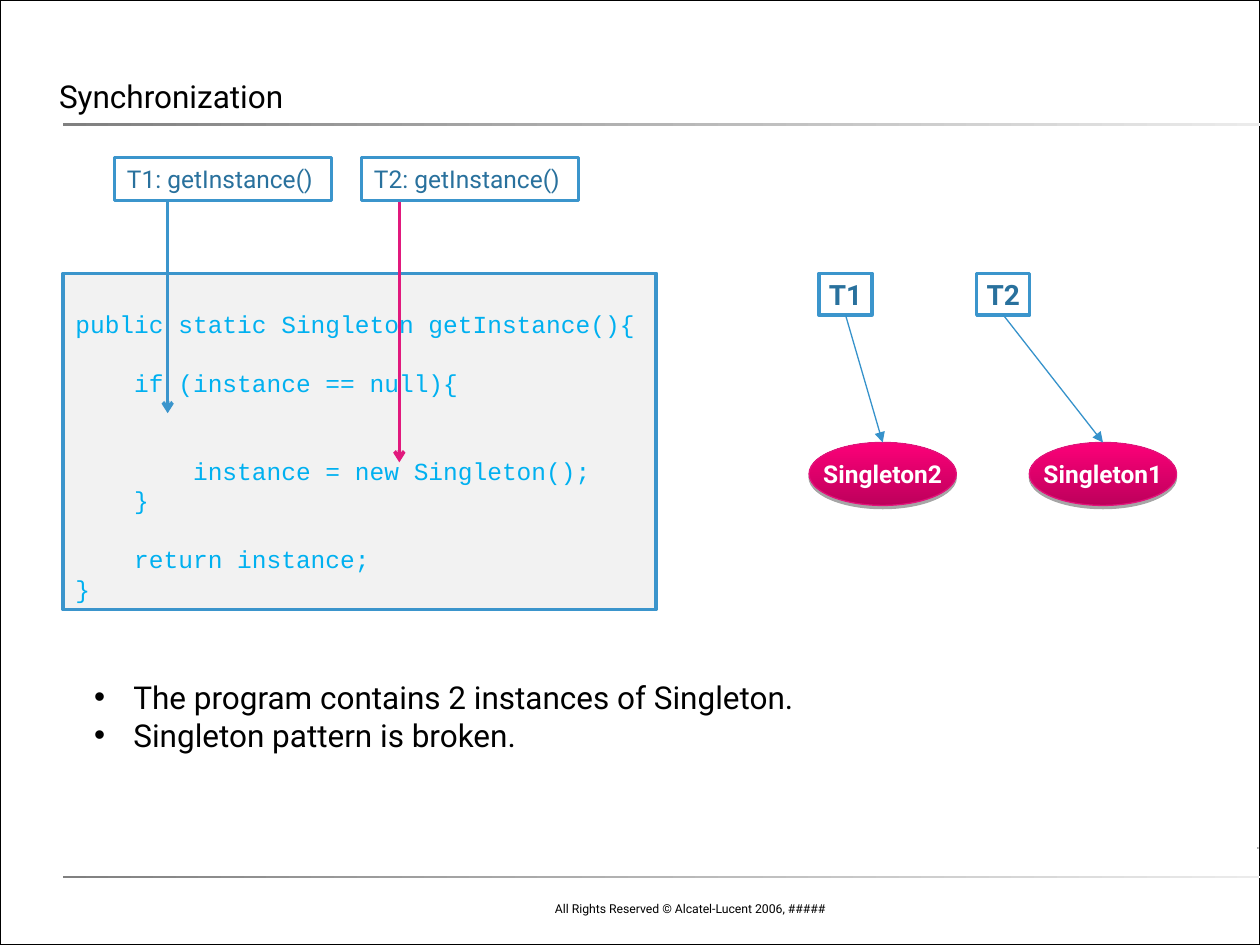
from lxml.etree import SubElement
from pptx import Presentation
from pptx.dml.color import RGBColor
from pptx.enum.shapes import MSO_CONNECTOR, MSO_SHAPE
from pptx.enum.text import MSO_ANCHOR, PP_ALIGN
from pptx.oxml.ns import qn
from pptx.util import Cm, Pt

COLORS = {
    "black": "000000", "white": "FFFFFF", "panel": "F2F2F2",
    "blue": "3B95CC", "link": "3692CB", "label": "29719D", "code": "00B0F0",
    "pink": "E1197D", "pink_edge": "E1137A", "pink_dark": "BD005B",
    "pink_light": "FD0079", "grey": "808080", "pale": "EBEBEB",
}
FORMATS = {
    "title": dict(name="Roboto", size=Pt(18), bold=False, color="black"),
    "bullet": dict(name="Roboto", size=Pt(18), color="black"),
    "call": dict(name="Roboto", size=Pt(14), color="label"),
    "thread": dict(name="Roboto", size=Pt(16), bold=True, color="label"),
    "object": dict(name="Roboto", size=Pt(14), bold=True, color="white"),
    "code": dict(name="Courier New", size=Pt(14), color="code"),
    "footer": dict(name="Roboto", size=Pt(7), color="black"),
}
CODE_PITCH = 16.8
# Each code line with the number of empty lines above it
CODE = [
    ("public static Singleton getInstance(){", 0),
    ("    if (instance == null){", 1),
    ("        instance = new Singleton();", 2),
    ("    }", 0),
    ("    return instance;", 1),
    ("}", 0),
]
BULLETS = ["The program contains 2 instances of Singleton.",
           "Singleton pattern is broken."]


def rgb(name):
    return RGBColor.from_string(COLORS[name])


def write(tf, lines, style, align=PP_ALIGN.LEFT, anchor=MSO_ANCHOR.TOP,
          insets=(0.25, 0.13, 0.25, 0.13), wrap=True):
    tf.word_wrap, tf.vertical_anchor = wrap, anchor
    for side, inset in zip(("left", "top", "right", "bottom"), insets):
        setattr(tf, f"margin_{side}", Cm(inset))
    for i, line in enumerate(lines):
        p = tf.paragraphs[0] if i == 0 else tf.add_paragraph()
        p.alignment = align
        r = p.add_run()
        r.text = line
        for key, value in FORMATS[style].items():
            if key == "color":
                r.font.color.rgb = rgb(value)
            else:
                setattr(r.font, key, value)


def add_box(s, box, kind=MSO_SHAPE.RECTANGLE, fill=None, line=None, width=2):
    sp = s.shapes.add_shape(kind, *map(Cm, box))
    sp.shadow.inherit = False
    if fill:
        sp.fill.solid()
        sp.fill.fore_color.rgb = rgb(fill)
    else:
        sp.fill.background()
    if line:
        sp.line.color.rgb = rgb(line)
        sp.line.width = Pt(width)
    else:
        sp.line.fill.background()
    return sp


def set_gradient(sp, start, end, angle):
    sp.fill.gradient()
    sp.fill.gradient_angle = angle
    for stop, color in zip(sp.fill.gradient_stops, (start, end)):
        stop.color.rgb = rgb(color)


def add_arrow(s, start, end, color, width, head):
    c = s.shapes.add_connector(MSO_CONNECTOR.STRAIGHT,
                               *map(Cm, (*start, *end)))
    c.line.color.rgb = rgb(color)
    c.line.width = Pt(width)
    SubElement(c.line._get_or_add_ln(), qn("a:tailEnd"), type=head)
    SubElement(c._element.spPr, qn("a:effectLst"))


def add_frame(s, box):
    """Page border, the two rules, the edge mark and the copyright line."""
    x, y, w, h = box
    add_box(s, box, line="black", width=1)
    left = 1.27
    for rule in ((x + w - 0.05, y + 17.07, 0.03, 0.05),
                 (x + left, y + 17.65, w - left, 0.05),
                 (x + left, y + 2.49, w - left, 0.05)):
        set_gradient(add_box(s, rule), "grey", "pale", 0)
    tb = s.shapes.add_textbox(*map(Cm, (x + 8.89, y + 17.96, 8, 0.64)))
    write(tb.text_frame, ["All Rights Reserved © Alcatel-Lucent 2006, #####"],
          "footer", PP_ALIGN.RIGHT, MSO_ANCHOR.BOTTOM)


def add_title(s, box):
    title = s.shapes.title
    title.left, title.top, title.width, title.height = map(Cm, box)
    write(title.text_frame, ["Synchronization"], "title",
          anchor=MSO_ANCHOR.BOTTOM, insets=(0, 0, 0, 0))
    title.text_frame.paragraphs[0].line_spacing = 1.2


def add_code(s, box):
    sp = add_box(s, box, fill="panel", line="blue")
    write(sp.text_frame, [line for line, _ in CODE], "code",
          insets=(0.25, 0.72, 0.25, 0.13))
    for p, (_, gap) in zip(sp.text_frame.paragraphs, CODE):
        p.line_spacing = Pt(CODE_PITCH)
        if gap:
            p.space_before = Pt(gap * CODE_PITCH)


def add_call(s, box, thread, arrow_x, arrow_end, color):
    """Thread call with the arrow that shows how far it has run."""
    x, y, _, _ = box
    add_arrow(s, (x + arrow_x, y + 0.2), (x + arrow_x, arrow_end),
              color, 2, "arrow")
    sp = add_box(s, box, fill="white", line="blue")
    write(sp.text_frame, [f"{thread}: getInstance()"], "call", wrap=False)


def add_reference(s, thread_box, object_box, thread, name):
    """Thread label pointing at the object it received."""
    centred = dict(align=PP_ALIGN.CENTER, anchor=MSO_ANCHOR.MIDDLE,
                   insets=(0, 0, 0, 0), wrap=False)
    oval = add_box(s, object_box, MSO_SHAPE.OVAL, line="pink_edge", width=0.75)
    set_gradient(oval, "pink_dark", "pink_light", 90)
    effects = oval._element.spPr.find(qn("a:effectLst"))
    shadow = SubElement(effects, qn("a:outerShdw"), dist=str(Pt(1.8)),
                        dir="5400000", rotWithShape="0")
    black = SubElement(shadow, qn("a:srgbClr"), val=COLORS["black"])
    SubElement(black, qn("a:alpha"), val="35000")
    write(oval.text_frame, [name], "object", **centred)

    label = add_box(s, thread_box, fill="white", line="blue")
    write(label.text_frame, [thread], "thread", **centred)
    tx, ty, tw, th = thread_box
    ox, oy, ow, _ = object_box
    add_arrow(s, (tx + tw / 2, ty + th), (ox + ow / 2, oy),
              "link", 0.75, "triangle")


def add_bullets(s, box):
    tf = s.shapes.add_textbox(*map(Cm, box)).text_frame
    write(tf, BULLETS, "bullet")
    for p in tf.paragraphs:
        pPr = p._p.get_or_add_pPr()
        pPr.set("marL", str(Cm(0.79)))
        pPr.set("indent", str(-Cm(0.79)))
        color = SubElement(pPr, qn("a:buClr"))
        SubElement(color, qn("a:srgbClr"), val=COLORS["black"])
        SubElement(pPr, qn("a:buFont"), typeface="Arial")
        SubElement(pPr, qn("a:buChar"), char="•")


def main():
    prs = Presentation()
    prs.slide_width, prs.slide_height = Cm(25.4), Cm(19.05)
    s = prs.slides.add_slide(prs.slide_layouts[5])
    add_frame(s, (0, 0, 25.4, 19.05))
    add_title(s, (1.19, 0.2, 23.01, 2.11))
    add_code(s, (1.27, 5.51, 11.96, 6.78))
    add_call(s, (2.31, 3.18, 4.37, 0.86), "T1", 1.07, 8.33, "blue")
    add_call(s, (7.29, 3.18, 4.37, 0.86), "T2", 0.76, 9.32, "pink")
    for thread, thread_x, name, object_x in (
            ("T2", 19.69, "Singleton1", 20.75),
            ("T1", 16.51, "Singleton2", 16.31)):
        add_reference(s, (thread_x, 5.51, 1.07, 0.84),
                      (object_x, 8.92, 2.97, 1.27), thread, name)
    add_bullets(s, (1.65, 13.54, 15.32, 1.78))
    prs.save("out.pptx")


if __name__ == "__main__":
    main()
